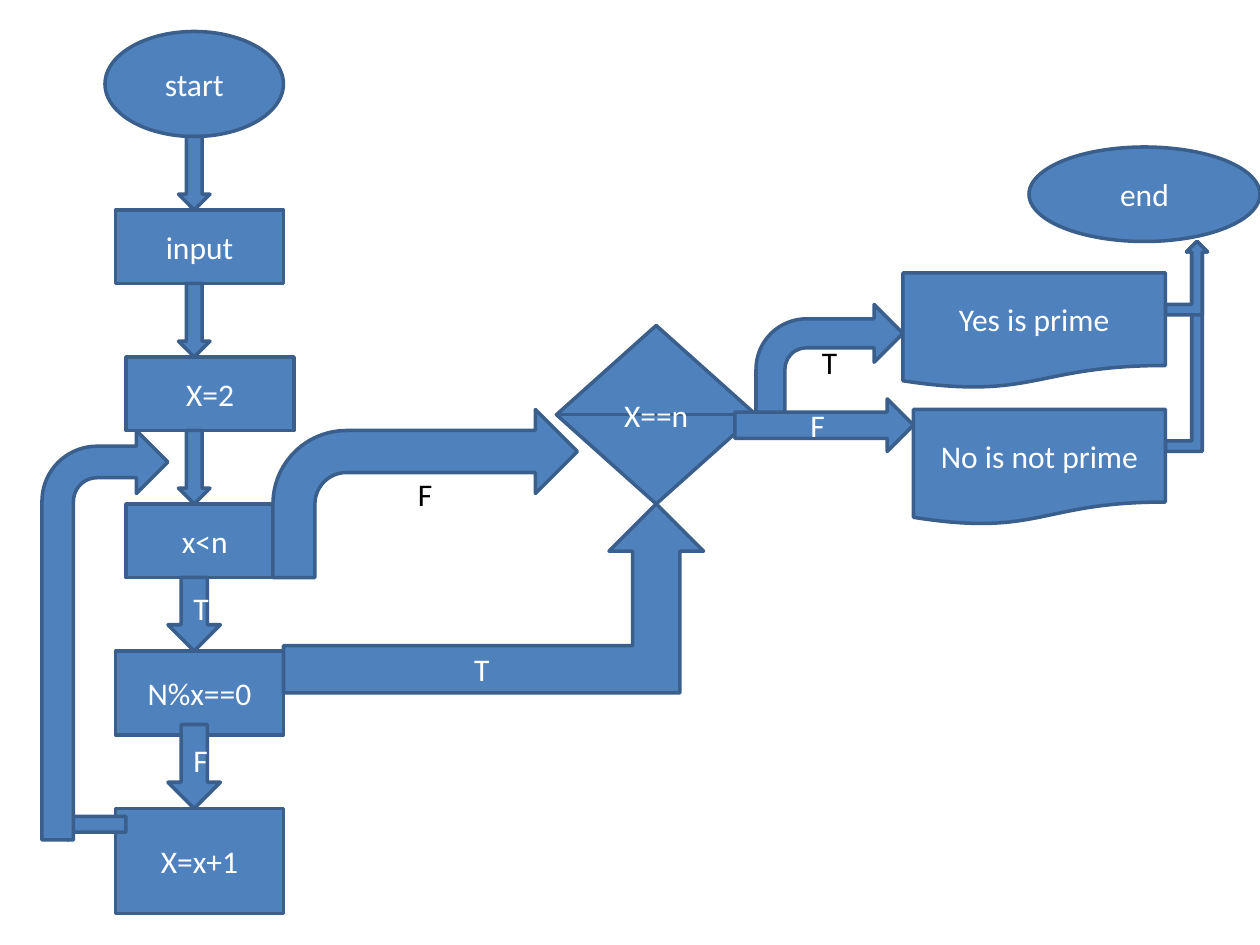
from pptx import Presentation
from pptx import util as u
from pptx.dml.color import RGBColor
from pptx.enum import shapes, text

BLUE = RGBColor(0x4F, 0x81, 0xBD)
DARK_BLUE = RGBColor(0x3A, 0x5F, 0x8C)
WHITE = RGBColor(0xFF, 0xFF, 0xFF)
BLACK = RGBColor(0x00, 0x00, 0x00)
FONT = "Calibri"
CELLS_PER_INCH = 12
KIND = shapes.MSO_SHAPE


def cells(count):
    """Turn a number of grid cells into a length."""
    return u.Inches(count / CELLS_PER_INCH)


def write_text(shape, label, size=18, color=WHITE, font=FONT):
    """Write one centred line of formatted text in a shape."""
    frame = shape.text_frame
    frame.word_wrap = True
    frame.vertical_anchor = text.MSO_ANCHOR.MIDDLE
    paragraph = frame.paragraphs[0]
    paragraph.alignment = text.PP_ALIGN.CENTER
    run = paragraph.add_run()
    run.text = label
    run.font.size = u.Pt(size)
    run.font.name = font
    run.font.color.rgb = color


def add_step(slide, origin, kind, place, label="", color=WHITE):
    """Add a flowchart shape at a grid place measured from the region's origin."""
    left, top, width, height = place
    shape = slide.shapes.add_shape(
        kind, cells(origin[0] + left), cells(origin[1] + top), cells(width), cells(height)
    )
    shape.shadow.inherit = False
    shape.fill.solid()
    shape.fill.fore_color.rgb = BLUE
    shape.line.color.rgb = DARK_BLUE
    shape.line.width = u.Pt(2)
    if label:
        write_text(shape, label, color=color)
    return shape


def add_main_column(slide, origin):
    """Stack the steps and down arrows, each starting where the last one ends."""
    steps = [
        (KIND.OVAL, "start", 0, 17, 10, 0),
        (KIND.DOWN_ARROW, "", 7, 3, 7, 0),
        (KIND.RECTANGLE, "input", 1, 16, 7, 0),
        (KIND.DOWN_ARROW, "", 7, 3, 7, 0),
        (KIND.RECTANGLE, "X=2", 2, 16, 7, 0),
        (KIND.DOWN_ARROW, "", 7, 3, 7, 0),
        (KIND.RECTANGLE, "x<n", 2, 15, 7, 0),
        (KIND.DOWN_ARROW, "T", 6, 5, 7, 0),
        (KIND.RECTANGLE, "N%x==0", 1, 16, 8, 1),
        (KIND.DOWN_ARROW, "F", 6, 5, 8, 0),
        (KIND.RECTANGLE, "X=x+1", 1, 16, 10, 0),
    ]
    top = 0
    for kind, label, left, width, height, overlap in steps:
        add_step(slide, origin, kind, (left, top, width, height), label)
        top += height - overlap


def add_loop(slide, origin):
    """Lead the counter step back to the loop test."""
    add_step(slide, origin, KIND.LEFT_ARROW, (1, 36, 7, 3))
    add_step(slide, origin, KIND.BENT_ARROW, (0, 0, 12, 39))


def add_prime_test(slide, origin):
    """Add the prime test and the two arrows that lead into it."""
    add_step(slide, origin, KIND.FLOWCHART_SORT, (27, 0, 19, 17), "X==n")
    add_step(slide, origin, KIND.BENT_UP_ARROW, (1, 17, 40, 18), "T")
    add_step(slide, origin, KIND.BENT_ARROW, (0, 8, 29, 16), "F", BLACK)


def add_outcomes(slide, origin):
    """Add the two answers, their arrows and the end."""
    add_step(slide, origin, KIND.BENT_ARROW, (2, 15, 14, 11), "T", BLACK)
    add_step(slide, origin, KIND.RIGHT_ARROW, (0, 24, 17, 5), "F")
    for height in (20, 7):
        add_step(slide, origin, KIND.BENT_UP_ARROW, (41, 9, 4, height))
    add_step(slide, origin, KIND.FLOWCHART_DOCUMENT, (16, 12, 25, 11), "Yes is prime")
    add_step(slide, origin, KIND.FLOWCHART_DOCUMENT, (17, 25, 24, 11), "No is not prime")
    add_step(slide, origin, KIND.OVAL, (28, 0, 22, 9), "end")


def main():
    """Build and save the prime number flowchart."""
    presentation = Presentation()
    presentation.slide_width = u.Inches(10)
    presentation.slide_height = u.Inches(7.5)
    slide = presentation.slides.add_slide(presentation.slide_layouts[6])
    add_main_column(slide, (10, 3))
    add_loop(slide, (4, 41))
    add_prime_test(slide, (26, 31))
    add_outcomes(slide, (70, 14))
    presentation.save("out.pptx")


if __name__ == "__main__":
    main()
